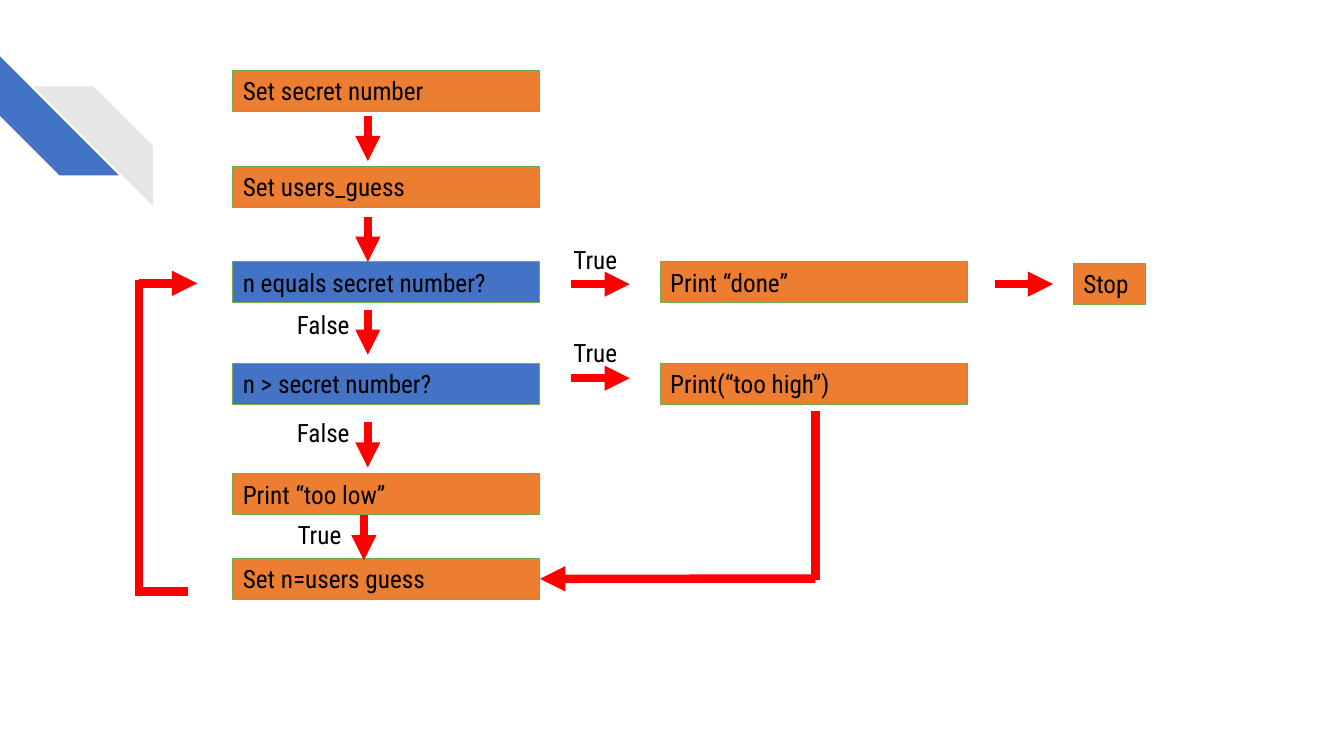
"""Build a flowchart slide for a number guessing game."""
from lxml.etree import SubElement
from pptx import Presentation
from pptx.dml.color import RGBColor
from pptx.enum.shapes import MSO_CONNECTOR as CONNECTOR, MSO_SHAPE as SHAPE
from pptx.enum.text import MSO_ANCHOR as ANCHOR, MSO_AUTO_SIZE as AUTO_SIZE, PP_ALIGN as ALIGN
from pptx.oxml.ns import qn
from pptx.util import Cm, Pt

COLORS = {
    "action": "ED7D31",
    "question": "4472C4",
    "border": "70AD47",
    "arrow": "FF0000",
    "text": "000000",
    "stripe_blue": "4472C4",
    "stripe_gray": "E7E6E6",
}
FONT_FORMAT = {"name": "Roboto Condensed", "size": Pt(18)}
FRAME_FORMAT = {
    "word_wrap": True,
    "auto_size": AUTO_SIZE.SHAPE_TO_FIT_TEXT,
    "vertical_anchor": ANCHOR.MIDDLE,
}
ROW_HEIGHT = 1.03
MAIN_LEFT, RESULT_LEFT, BOX_WIDTH = 5.87, 16.64, 7.74
DOWN_X, DOWN_LENGTH, RIGHT_LENGTH = 9.27, 1.14, 1.47
LOOP_X, LOOP_BOTTOM = 3.5, 14.91
RETURN_X, RETURN_Y = 20.55, 14.58


def write_text(shape, text):
    frame = shape.text_frame
    for name, value in FRAME_FORMAT.items():
        setattr(frame, name, value)
    paragraph = frame.paragraphs[0]
    paragraph.alignment = ALIGN.LEFT
    run = paragraph.add_run()
    run.text = text
    for name, value in FONT_FORMAT.items():
        setattr(run.font, name, value)
    run.font.color.rgb = RGBColor.from_string(COLORS["text"])


def add_line(slide, start, end, arrowhead=True):
    points = [Cm(value) for value in (*start, *end)]
    connector = slide.shapes.add_connector(CONNECTOR.STRAIGHT, *points)
    connector.line.width = Pt(6)
    connector.line.color.rgb = RGBColor.from_string(COLORS["arrow"])
    if arrowhead:
        SubElement(connector.line._get_or_add_ln(), qn("a:tailEnd"), type="triangle")
    SubElement(connector._element.spPr, qn("a:effectLst"))
    return connector


presentation = Presentation()
presentation.slide_width = Cm(33.87)
presentation.slide_height = Cm(19.05)
slide = presentation.slides.add_slide(presentation.slide_layouts[6])

stripes = [
    (0, 1.42, 270, "stripe_blue"),
    (0.85, 2.18, 90, "stripe_gray"),
]
for left, top, rotation, color in stripes:
    stripe = slide.shapes.add_shape(
        SHAPE.DIAGONAL_STRIPE, Cm(left), Cm(top), Cm(3), Cm(3))
    stripe.rotation = rotation
    stripe.shadow.inherit = False
    stripe.fill.solid()
    stripe.fill.fore_color.rgb = RGBColor.from_string(COLORS[color])
    stripe.line.fill.background()

steps = [
    ("Set secret number", MAIN_LEFT, 1.77, BOX_WIDTH, "action"),
    ("Set users_guess", MAIN_LEFT, 4.19, BOX_WIDTH, "action"),
    ("n equals secret number?", MAIN_LEFT, 6.59, BOX_WIDTH, "question"),
    ("Print “done”", RESULT_LEFT, 6.59, BOX_WIDTH, "action"),
    ("n > secret number?", MAIN_LEFT, 9.16, BOX_WIDTH, "question"),
    ("Print(“too high”)", RESULT_LEFT, 9.16, BOX_WIDTH, "action"),
    ("Print “too low”", MAIN_LEFT, 11.94, BOX_WIDTH, "action"),
    ("Stop", 27.05, 6.64, 1.82, "action"),
    ("Set n=users guess", MAIN_LEFT, 14.07, BOX_WIDTH, "action"),
]
boxes = {}
for text, left, top, width, color in steps:
    box = slide.shapes.add_shape(
        SHAPE.RECTANGLE, Cm(left), Cm(top), Cm(width), Cm(ROW_HEIGHT))
    box.shadow.inherit = False
    box.fill.solid()
    box.fill.fore_color.rgb = RGBColor.from_string(COLORS[color])
    box.line.color.rgb = RGBColor.from_string(COLORS["border"])
    box.line.width = Pt(0.75)
    write_text(box, text)
    boxes[text] = box

down_arrows = [(DOWN_X, 2.92), (DOWN_X, 5.46), (DOWN_X, 7.8), (DOWN_X, 10.64), (9.17, 12.98)]
for x, y in down_arrows:
    add_line(slide, (x, y), (x, y + DOWN_LENGTH))

right_arrows = [(14.4, 7.16), (14.4, 9.53), (25.07, 7.16), (LOOP_X, 7.14)]
for x, y in right_arrows:
    add_line(slide, (x, y), (x + RIGHT_LENGTH, y))

plain_lines = [
    ((RETURN_X, 10.36), (RETURN_X, 14.61)),
    ((LOOP_X, 7.06), (LOOP_X, LOOP_BOTTOM)),
    ((4.75, LOOP_BOTTOM), (3.4, LOOP_BOTTOM)),
]
for start, end in plain_lines:
    add_line(slide, start, end, arrowhead=False)

return_arrow = add_line(
    slide, (RETURN_X, RETURN_Y), (MAIN_LEFT + BOX_WIDTH, RETURN_Y))
return_arrow.end_connect(boxes["Set n=users guess"], 3)

labels = [
    ("True", 14.2, 6.02),
    ("True", 14.2, 8.37),
    ("False", 7.23, 7.67),
    ("False", 7.23, 10.37),
    ("True", 7.25, 12.96),
]
for text, left, top in labels:
    label = slide.shapes.add_textbox(Cm(left), Cm(top), Cm(2.06), Cm(ROW_HEIGHT))
    write_text(label, text)

presentation.save("out.pptx")
